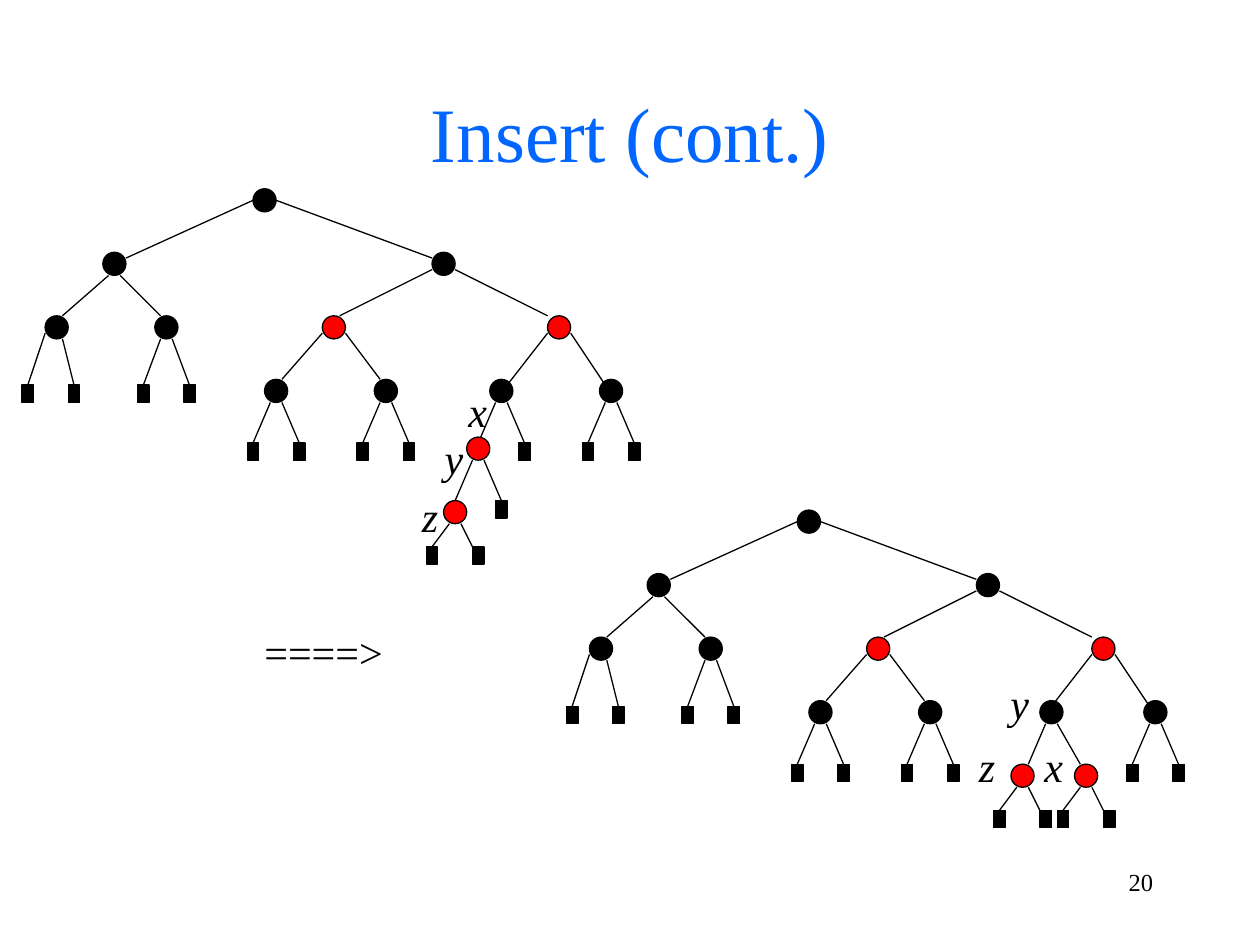
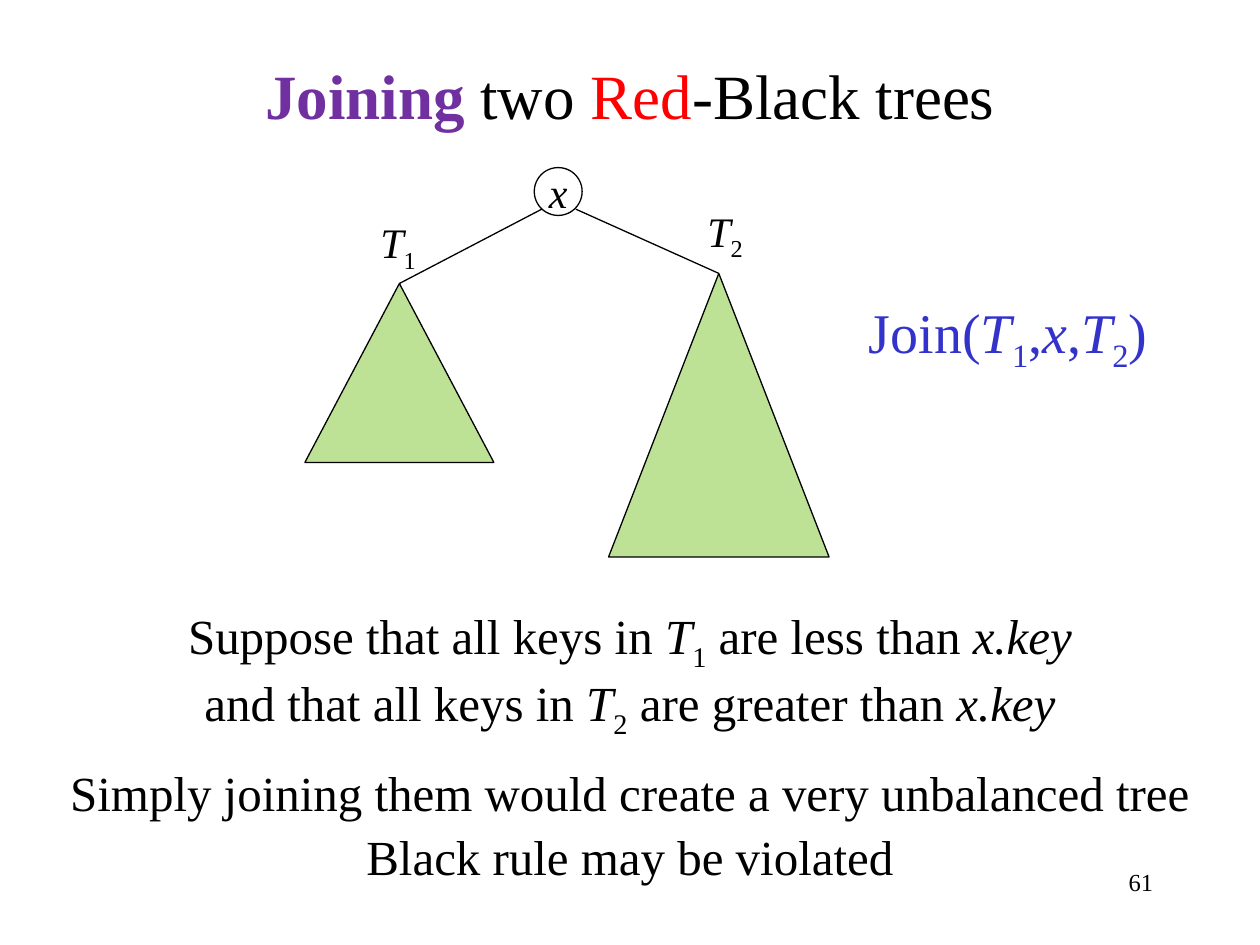
from dataclasses import dataclass

from lxml import etree
from pptx import Presentation
from pptx import util as u
from pptx.dml.color import RGBColor
from pptx.enum import shapes, text
from pptx.oxml.ns import qn


@dataclass(frozen=True)
class Theme:
    font: str = "Times New Roman"
    black: str = "000000"
    red: str = "FF0000"
    title_blue: str = "0066FF"
    purple: str = "7030A0"
    call_blue: str = "3333CC"
    green: str = "92D050"
    green_opacity: int = 60
    line: float = 0.75
    title: int = 44
    join_title: int = 36
    call: int = 32
    body: int = 28
    label: int = 24
    number: int = 14


THEME = Theme()
INCH = u.Inches
LEFT, CENTER, RIGHT = (text.PP_ALIGN.LEFT, text.PP_ALIGN.CENTER, text.PP_ALIGN.RIGHT)
ITALIC = {"italic": True}
SUB = {"baseline": -25}
T1 = [("T", ITALIC), ("1", SUB)]
T2 = [("T", ITALIC), ("2", SUB)]
BREAK = ("\n", {})

# Tree geometry is counted in grid steps from the centre of the root.
STEP = 0.55 / 12
SHARED_NODES = {
    "root": (0, 0, THEME.black),
    "A": (-26, 11, THEME.black),
    "B": (31, 11, THEME.black),
    "A1": (-36, 22, THEME.black),
    "A2": (-17, 22, THEME.black),
    "C": (12, 22, THEME.red),
    "D": (51, 22, THEME.red),
    "C1": (2, 33, THEME.black),
    "C2": (21, 33, THEME.black),
    "D2": (60, 33, THEME.black),
}
# parent, child, start from parent centre, end from child centre
SHARED_EDGES = [
    ("root", "A", (-2, 0), (2, -1)),
    ("root", "B", (2, 0), (-2, -1)),
    ("A", "A1", (-1, 2), (1, -2)),
    ("A", "A2", (1, 2), (-1, -2)),
    ("B", "C", (-2, 1), (1, -2)),
    ("B", "D", (2, 1), (-2, -2)),
    ("C", "C1", (-2, 1), (1, -2)),
    ("C", "C2", (2, 1), (-1, -2)),
    ("D", "D2", (2, 1), (-1, -1)),
]
# parent, drop to the top of the leaves, sideways offsets of the leaves
SHARED_LEAVES = [
    ("A1", 10, (-5, 3)),
    ("A2", 10, (-4, 4)),
    ("C1", 9, (-4, 4)),
    ("C2", 9, (-4, 4)),
    ("D2", 9, (-4, 4)),
]
TREES = [
    {
        "root": (2.1, 1.59),
        "nodes": {"D1": (41, 33, THEME.black), "X": (37, 43, THEME.red),
                  "Z": (33, 54, THEME.red)},
        "edges": [("D", "D1", (-2, 1), (1, -1)),
                  ("D1", "X", (-1, 2), (0, -1)),
                  ("X", "Z", (-1, 2), (0, -2))],
        "leaves": [("D1", 9, (4,)), ("X", 9, (4,)), ("Z", 6, (-4, 4))],
        "labels": [("x", 3.62, 3.01), ("y", 3.43, 3.38), ("z", 3.25, 3.84)],
    },
    {
        "root": (6.42, 4.14),
        "nodes": {"D1": (42, 33, THEME.black), "Z": (37, 44, THEME.red),
                  "X": (48, 44, THEME.red)},
        "edges": [("D", "D1", (-2, 1), (0, -1)),
                  ("D1", "Z", (-1, 2), (1, -2)),
                  ("D1", "X", (1, 2), (-1, -2))],
        "leaves": [("Z", 6, (-4, 4)), ("X", 6, (-4, 4))],
        "labels": [("y", 7.92, 5.33), ("z", 7.67, 5.83), ("x", 8.19, 5.83)],
    },
]

JOIN_TITLE = [("Joining", {"bold": True, "color": THEME.purple}), (" two ", {}),
              ("Red", {"color": THEME.red}), ("-Black trees", {})]
# place, spans, format
JOIN_TEXTS = [
    ((0, 4.76, 10, 1.04),
     [("Suppose that all keys in ", {}), *T1, (" are less than ", {}),
      ("x.key", ITALIC), BREAK,
      ("and that all keys in ", {}), *T2, (" are greater than ", {}),
      ("x.key", ITALIC)],
     {"size": THEME.body, "align": CENTER}),
    ((0, 6, 10, 0.57),
     [("Simply joining them would create a very unbalanced tree", {})],
     {"size": THEME.body, "align": CENTER}),
    ((0, 6.51, 10, 0.57), [("Black rule may be violated", {})],
     {"size": THEME.body, "align": CENTER}),
    ((2.92, 1.67, 0.67, 0.5), T1, {}),
    ((5.42, 1.58, 0.67, 0.5), T2, {"align": CENTER}),
    ((6.75, 2.31, 2.5, 0.64),
     [("Join(", {}), *T1, (",", {}), ("x", ITALIC), (",", {}), *T2, (")", {})],
     {"size": THEME.call, "color": THEME.call_blue, "align": CENTER}),
]
# triangle place, start of the line to its apex
SUBTREES = [
    ((2.42, 2.25, 1.5, 1.42), (4.3, 1.66)),
    ((4.83, 2.17, 1.75, 2.25), (4.57, 1.66)),
]


def write(frame, spans, size=THEME.label, color=THEME.black, align=LEFT):
    para = frame.paragraphs[0]
    para.alignment = align
    for words, style in spans:
        if words == "\n":
            para.add_line_break()
            continue
        span = para.add_run()
        span.text = words
        span.font.color.rgb = RGBColor.from_string(style.get("color", color))
        values = {"name": THEME.font, "size": u.Pt(size),
                  "bold": style.get("bold", False),
                  "italic": style.get("italic", False)}
        for name, value in values.items():
            setattr(span.font, name, value)
        if "baseline" in style:
            span.font._element.set("baseline", str(style["baseline"] * 1000))


def add_text(page, place, spans, anchor=text.MSO_ANCHOR.TOP, **style):
    box = page.shapes.add_textbox(*map(INCH, place))
    box.text_frame.word_wrap = True
    box.text_frame.vertical_anchor = anchor
    write(box.text_frame, spans, **style)


def add_shape(page, kind, place, fill=None):
    shape = page.shapes.add_shape(kind, *map(INCH, place))
    shape.shadow.inherit = False
    if fill:
        shape.fill.solid()
        shape.fill.fore_color.rgb = RGBColor.from_string(fill)
    else:
        shape.fill.background()
    shape.line.color.rgb = RGBColor.from_string(THEME.black)
    shape.line.width = u.Pt(THEME.line)
    return shape


def add_line(page, start, end, target=None):
    """Draw a line, joined to the top of target when one is given."""
    line = page.shapes.add_connector(
        shapes.MSO_CONNECTOR.STRAIGHT, *map(INCH, (*start, *end)))
    line.line.color.rgb = RGBColor.from_string(THEME.black)
    line.line.width = u.Pt(THEME.line)
    etree.SubElement(line._element.spPr, qn("a:effectLst"))
    if target is not None:
        line.end_connect(target, 0)


def add_page(deck, number, title, place, **style):
    page = deck.slides.add_slide(deck.slide_layouts[6])
    add_text(page, (7.17, 6.83, 2.08, 0.5), [(number, {})],
             size=THEME.number, align=RIGHT)
    add_text(page, place, title, anchor=text.MSO_ANCHOR.MIDDLE,
             align=CENTER, **style)
    return page


def draw_tree(page, tree):
    nodes = SHARED_NODES | tree["nodes"]

    def point(name, shift=(0, 0)):
        return [origin + STEP * (grid + move) for origin, grid, move
                in zip(tree["root"], nodes[name], shift)]

    for parent, child, start, end in SHARED_EDGES + tree["edges"]:
        add_line(page, point(parent, start), point(child, end))

    for parent, drop, offsets in SHARED_LEAVES + tree["leaves"]:
        for offset in offsets:
            left, top = point(parent, (offset - 1, drop))
            leaf = add_shape(page, shapes.MSO_SHAPE.RECTANGLE,
                             (left, top, 2 * STEP, 3 * STEP), THEME.black)
            side = 1 if offset > 0 else -1
            start = point(parent, (-2, 1) if offset == -5 else (side, 2))
            if drop == 6 and side == 1:
                add_line(page, start, (left, top))
            else:
                add_line(page, start, (left + STEP, top), leaf)

    for name, (_, _, color) in nodes.items():
        add_shape(page, shapes.MSO_SHAPE.OVAL,
                  (*point(name, (-2, -2)), 4 * STEP, 4 * STEP), color)

    for letter, left, top in tree["labels"]:
        add_text(page, (left, top, 0.23, 0.5), [(letter, ITALIC)])


def build_insert(deck):
    page = add_page(deck, "20", [("Insert (cont.)", {})], (0.75, 0.42, 8.5, 1.25),
                    size=THEME.title, color=THEME.title_blue)
    for tree in TREES:
        draw_tree(page, tree)
    add_text(page, (2, 4.92, 2.08, 0.5), [("====>", {})])


def build_join(deck):
    page = add_page(deck, "61", JOIN_TITLE, (0, 0.33, 10, 0.83),
                    size=THEME.join_title)
    for place, start in SUBTREES:
        triangle = add_shape(page, shapes.MSO_SHAPE.ISOSCELES_TRIANGLE,
                             place, THEME.green)
        color = triangle._element.spPr.find(qn("a:solidFill"))[0]
        etree.SubElement(color, qn("a:alpha"), val=str(THEME.green_opacity * 1000))
        left, top, width, _ = place
        add_line(page, start, (left + width / 2, top), triangle)

    node = add_shape(page, shapes.MSO_SHAPE.OVAL, (4.24, 1.33, 0.38, 0.38))
    frame = node.text_frame
    for side in ("left", "top", "right", "bottom"):
        setattr(frame, f"margin_{side}", 0)
    frame.vertical_anchor = text.MSO_ANCHOR.MIDDLE
    write(frame, [("x", ITALIC)], align=CENTER)

    for place, spans, style in JOIN_TEXTS:
        add_text(page, place, spans, **style)


def main():
    deck = Presentation()
    deck.slide_width, deck.slide_height = INCH(10), INCH(7.5)
    build_insert(deck)
    build_join(deck)
    deck.save("out.pptx")


if __name__ == "__main__":
    main()
